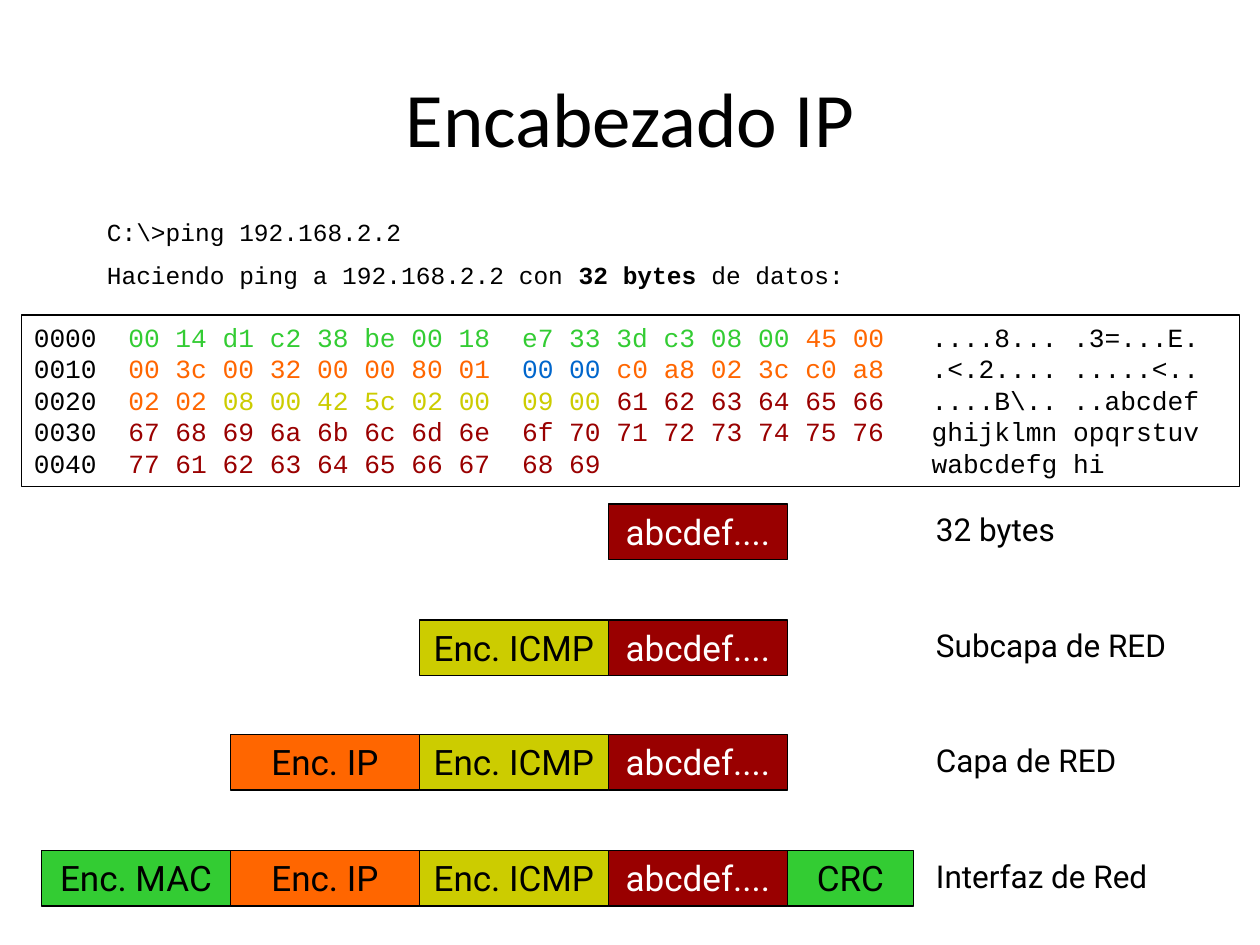
from dataclasses import dataclass

import pptx
import pptx.dml.color
import pptx.enum.shapes
import pptx.enum.text
import pptx.oxml
import pptx.oxml.ns
import pptx.util
from pptx.util import Inches

ALIGN = pptx.enum.text.PP_ALIGN
ANCHOR = pptx.enum.text.MSO_ANCHOR
COLORS = {
    "black": "000000",
    "white": "FFFFFF",
    "green": "33CC33",
    "orange": "FF6600",
    "blue": "0066CC",
    "yellow": "CCCC00",
    "red": "990000",
}


@dataclass(frozen=True)
class Segment:
    text: str
    left: float
    width: float
    fill: str
    color: str = "black"


@dataclass(frozen=True)
class Layer:
    label: str
    segments: tuple[Segment, ...]


@dataclass(frozen=True)
class Piece:
    text: str
    color: str = "black"
    bold: bool = False


DATA = Segment("abcdef....", 4.83, 1.42, "red", "white")
ICMP = Segment("Enc. ICMP", 3.33, 1.5, "yellow")
IP = Segment("Enc. IP", 1.83, 1.5, "orange")
MAC = Segment("Enc. MAC", 0.33, 1.5, "green")
CRC = Segment("CRC", 6.25, 1, "green")
LAYERS = (
    Layer("32 bytes", (DATA,)),
    Layer("Subcapa de RED", (DATA, ICMP)),
    Layer("Capa de RED", (DATA, ICMP, IP)),
    Layer("Interfaz de Red", (DATA, ICMP, IP, MAC, CRC)),
)
LAYER_TOP, LAYER_STEP = 4, 0.917

# Tabs separate the offset, both groups of eight bytes and the ASCII column
DUMP = (
    (Piece("0000\t"), Piece("00 14 d1 c2 38 be 00 18\te7 33 3d c3 08 00", "green"),
     Piece(" 45 00", "orange"), Piece("\t....8... .3=...E.")),
    (Piece("0010\t"), Piece("00 3c 00 32 00 00 80 01\t", "orange"), Piece("00 00", "blue"),
     Piece(" c0 a8 02 3c c0 a8", "orange"), Piece("\t.<.2.... .....<..")),
    (Piece("0020\t"), Piece("02 02 ", "orange"), Piece("08 00 42 5c 02 00\t09 00 ", "yellow"),
     Piece("61 62 63 64 65 66", "red"), Piece("\t....B\\.. ..abcdef")),
    (Piece("0030\t"), Piece("67 68 69 6a 6b 6c 6d 6e\t6f 70 71 72 73 74 75 76", "red"),
     Piece("\tghijklmn opqrstuv")),
    (Piece("0040\t"), Piece("77 61 62 63 64 65 66 67\t68 69", "red"), Piece("\twabcdefg hi")),
)
DUMP_TAB_COLUMNS = (6, 31, 57)
DUMP_CHARACTER_WIDTH = 9  # points, at 15 pt

COMMAND = (
    (Piece("C:\\>ping 192.168.2.2"),),
    (Piece("Haciendo ping a 192.168.2.2 con "), Piece("32 bytes", bold=True), Piece(" de datos:")),
)


def rgb(name: str) -> pptx.dml.color.RGBColor:
    return pptx.dml.color.RGBColor.from_string(COLORS[name])


def add_tabs(paragraph) -> None:
    tab_list = pptx.oxml.parse_xml(f'<a:tabLst {pptx.oxml.ns.nsdecls("a")}/>')
    for column in DUMP_TAB_COLUMNS:
        tab = tab_list.makeelement(pptx.oxml.ns.qn("a:tab"))
        tab.set("pos", str(pptx.util.Pt(column * DUMP_CHARACTER_WIDTH)))
        tab.set("algn", "l")
        tab_list.append(tab)
    paragraph._p.get_or_add_pPr().append(tab_list)


def write(shape, lines, font: str, size: float, alignment=ALIGN.LEFT,
          anchor=ANCHOR.TOP, gap: float = 0, tabs: bool = False) -> None:
    frame = shape.text_frame
    frame.word_wrap = True
    frame.vertical_anchor = anchor
    for index, pieces in enumerate(lines):
        paragraph = frame.add_paragraph() if index else frame.paragraphs[0]
        paragraph.alignment = alignment
        if index and gap:
            paragraph.space_before = pptx.util.Pt(gap)
        if tabs:
            add_tabs(paragraph)
        for piece in pieces:
            run = paragraph.add_run()
            run.text = piece.text
            formats = {"name": font, "size": pptx.util.Pt(size), "bold": piece.bold}
            for name, value in formats.items():
                setattr(run.font, name, value)
            run.font.color.rgb = rgb(piece.color)


def add_box(slide, left: float, top: float, width: float, height: float, fill: str = ""):
    shape = slide.shapes.add_shape(
        pptx.enum.shapes.MSO_SHAPE.RECTANGLE,
        Inches(left), Inches(top), Inches(width), Inches(height))
    shape.shadow.inherit = False
    if fill:
        shape.fill.solid()
        shape.fill.fore_color.rgb = rgb(fill)
    else:
        shape.fill.background()
    shape.line.color.rgb = rgb("black")
    shape.line.width = pptx.util.Pt(0.75)
    return shape


def add_text(slide, left: float, top: float, width: float, height: float):
    return slide.shapes.add_textbox(Inches(left), Inches(top), Inches(width), Inches(height))


def add_layer(slide, layer: Layer, top: float) -> None:
    for segment in layer.segments:
        box = add_box(slide, segment.left, top, segment.width, 0.44, segment.fill)
        write(box, [[Piece(segment.text, segment.color)]], "Roboto", 20, ALIGN.CENTER)
    label = add_text(slide, 7.33, top, 2.08, 0.4)
    write(label, [[Piece(layer.label)]], "Roboto", 18)


def main() -> None:
    presentation = pptx.Presentation()
    presentation.slide_width = Inches(10)
    presentation.slide_height = Inches(7.5)
    slide = presentation.slides.add_slide(presentation.slide_layouts[5])

    # Title
    title = slide.shapes.title
    placement = {"left": 0.5, "top": 0.3, "width": 9, "height": 1.25}
    for name, value in placement.items():
        setattr(title, name, Inches(value))
    write(title, [[Piece("Encabezado IP")]], "Calibri", 44, ALIGN.CENTER, ANCHOR.MIDDLE)

    # Ping command
    write(add_text(slide, 0.75, 1.67, 8.83, 0.68), COMMAND, "Courier New", 14, gap=8)

    # Packet bytes
    write(add_box(slide, 0.17, 2.5, 9.67, 1.36), DUMP, "Courier New", 15,
          ALIGN.JUSTIFY, tabs=True)

    # Encapsulation, one row per layer
    for index, layer in enumerate(LAYERS):
        add_layer(slide, layer, round(LAYER_TOP + index * LAYER_STEP, 2))

    presentation.save("out.pptx")


if __name__ == "__main__":
    main()
